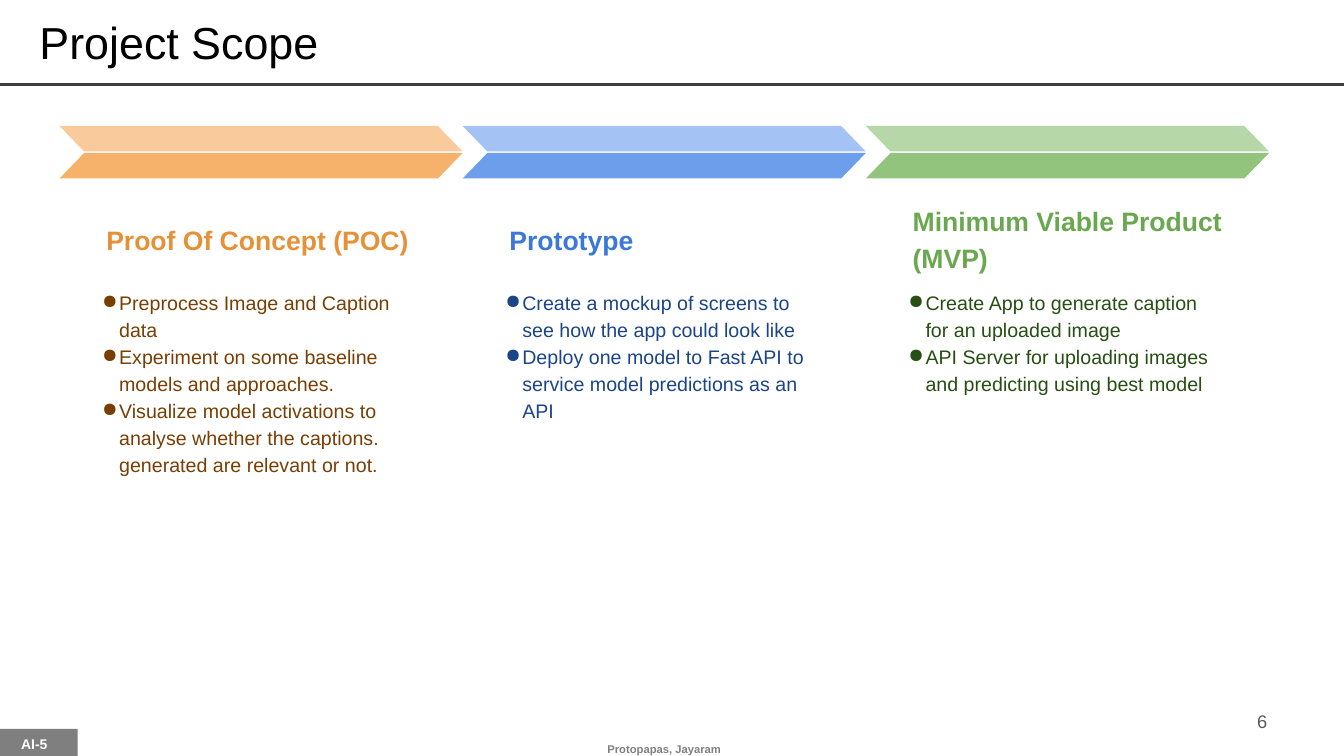
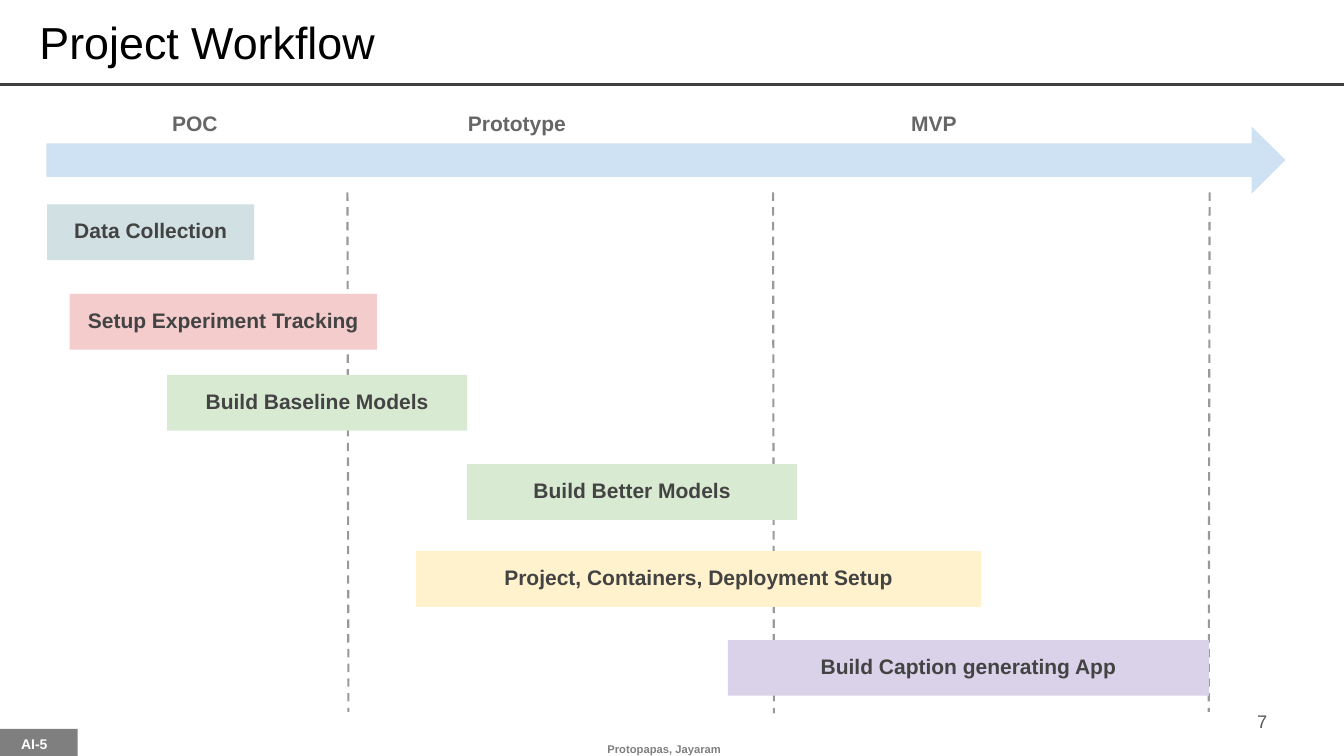
from lxml.etree import SubElement
from pptx import Presentation
from pptx.dml.color import RGBColor
from pptx.enum.dml import MSO_LINE
from pptx.enum.shapes import MSO_CONNECTOR, MSO_SHAPE
from pptx.enum.text import MSO_ANCHOR, MSO_AUTO_SIZE, PP_ALIGN
from pptx.oxml.ns import qn
from pptx.util import Pt

FONT = "Arial"
COLORS = {
    "title": "000000", "rule": "3F3F3F", "footer": "7F7F7F", "tag": "FFFFFF",
    "number": "595959", "milestone": "666666", "divider": "999999",
    "task": "434343", "timeline": "CFE2F3",
    "teal": "D0E0E3", "red": "F4CCCC", "green": "D9EAD3",
    "yellow": "FFF2CC", "purple": "D9D2E9",
}
# heading, body, upper band, lower band
PHASE_COLORS = {
    "orange": ("E69138", "783F04", "F9CB9C", "F6B26B"),
    "blue": ("3C78D8", "1C4587", "A4C2F4", "6D9EEB"),
    "green": ("6AA84F", "274E13", "B6D7A8", "93C47D"),
}
TAG = "AI-5"
AUTHORS = "Protopapas, Jayaram"

PHASES = [
    ("Proof Of Concept (POC)", "orange", [
        "Preprocess Image and Caption data",
        "Experiment on some baseline models and approaches.",
        "Visualize model activations to analyse whether the captions. "
        "generated are relevant or not.",
    ]),
    ("Prototype", "blue", [
        "Create a mockup of screens to see how the app could look like",
        "Deploy one model to Fast API to service model predictions as an API",
    ]),
    ("Minimum Viable Product (MVP)", "green", [
        "Create App to generate caption for an uploaded image",
        "API Server for uploading images and predicting using best model",
    ]),
]
PHASE_LEFT, PHASE_WIDTH = 42.5, 288
BAND_HEIGHT, BAND_TOPS = 18.2, (90, 109.3)

# label, centre
MILESTONES = [("POC", 139.2), ("Prototype", 369.2), ("MVP", 667.1)]
# x at the top, x at the bottom, bottom
DIVIDERS = [(248.2, 248.9, 508.5), (552.2, 552.8, 509.5), (864, 863.4, 508.5)]
# label, colour, left, top, width
TASKS = [
    ("Data Collection", "teal", 33.6, 146, 148),
    ("Setup Experiment Tracking", "red", 49.8, 210, 219.4),
    ("Build Baseline Models", "green", 119.4, 267.8, 214.3),
    ("Build Better Models", "green", 333.5, 331.5, 236),
    ("Project, Containers, Deployment Setup", "yellow", 297, 393.7, 404),
    ("Build Caption generating App", "purple", 520, 457.2, 343.6),
]
TASK_HEIGHT = 39.8


def rgb(value):
    return RGBColor.from_string(value)


def write(shape, lines, size, color, bold=False, align=PP_ALIGN.LEFT,
          anchor=MSO_ANCHOR.TOP, inset=(7.2, 3.6), spacing=None, bullet=None):
    """Fill a shape with one paragraph per line; inset is (sides, top and bottom)."""
    frame = shape.text_frame
    side, edge = inset
    settings = {
        "word_wrap": True, "auto_size": MSO_AUTO_SIZE.NONE,
        "vertical_anchor": anchor, "margin_left": Pt(side),
        "margin_right": Pt(side), "margin_top": Pt(edge), "margin_bottom": Pt(edge),
    }
    for name, value in settings.items():
        setattr(frame, name, value)
    for index, line in enumerate(lines):
        para = frame.add_paragraph() if index else frame.paragraphs[0]
        para.alignment = align
        if spacing:
            para.line_spacing = spacing
        if bullet:
            add_bullet(para, bullet, color)
        span = para.add_run()
        span.text = line
        for name, value in {"name": FONT, "size": Pt(size), "bold": bold}.items():
            setattr(span.font, name, value)
        span.font.color.rgb = rgb(color)


def add_bullet(para, character, color):
    properties = para._p.get_or_add_pPr()
    properties.set("marL", str(Pt(12.2)))
    properties.set("indent", str(Pt(-13)))
    bullet_color = SubElement(properties, qn("a:buClr"))
    SubElement(bullet_color, qn("a:srgbClr"), val=color)
    SubElement(properties, qn("a:buChar"), char=character)


def add_text(page, place, lines, size, color, **options):
    box = page.shapes.add_textbox(*map(Pt, place))
    write(box, lines, size, color, **options)


def add_block(page, kind, place, color):
    block = page.shapes.add_shape(kind, *map(Pt, place))
    block.shadow.inherit = False
    block.fill.solid()
    block.fill.fore_color.rgb = rgb(color)
    block.line.fill.background()
    return block


def add_line(page, ends, color, width, dash=None):
    line = page.shapes.add_connector(MSO_CONNECTOR.STRAIGHT, *map(Pt, ends))
    line.line.color.rgb = rgb(color)
    line.line.width = Pt(width)
    if dash:
        line.line.dash_style = dash
    SubElement(line._element.spPr, qn("a:effectLst"))


def add_page(deck, title, number):
    """Add a slide with the shared title style, rule and footer."""
    page = deck.slides.add_slide(deck.slide_layouts[5])
    add_line(page, (0, 60.5, 960, 60.5), COLORS["rule"], 2.25)
    add_block(page, MSO_SHAPE.RECTANGLE, (-3.6, 520.6, 59, 21.6), COLORS["footer"])
    add_text(page, (-7.2, 523.4, 63.4, 25.2), [TAG], 10, COLORS["tag"],
             bold=True, align=PP_ALIGN.CENTER, spacing=0.9)
    add_text(page, (356.4, 522.7, 236.2, 24.5), [AUTHORS], 8, COLORS["footer"],
             bold=True, align=PP_ALIGN.CENTER, anchor=MSO_ANCHOR.MIDDLE,
             inset=(7.2, 7.2))
    add_text(page, (688.3, 500.8, 224, 28.8), [str(number)], 13, COLORS["number"],
             align=PP_ALIGN.RIGHT, anchor=MSO_ANCHOR.MIDDLE)
    heading = page.shapes.title
    place = {"left": 21, "top": 7.2, "width": 849, "height": 54}
    for name, value in place.items():
        setattr(heading, name, Pt(value))
    write(heading, [title], 32, COLORS["title"])
    return page


def add_phase(page, left, heading, colors, points):
    heading_color, body_color, *band_colors = colors
    add_text(page, (left + 24, 139, 243, 61), [heading], 19, heading_color,
             bold=True, anchor=MSO_ANCHOR.MIDDLE, inset=(9.4, 9.4), spacing=1.15)
    add_text(page, (left + 21, 196, 243, 297), points, 14, body_color,
             inset=(9.4, 9.4), spacing=1.15, bullet="●")
    for top, color, flipped in zip(BAND_TOPS, band_colors, (True, False)):
        band = add_block(page, MSO_SHAPE.PARALLELOGRAM,
                         (left, top, PHASE_WIDTH, BAND_HEIGHT), color)
        band.adjustments[0] = 0.97
        if flipped:
            band._element.spPr.find(qn("a:xfrm")).set("flipH", "1")


def build_scope(deck):
    page = add_page(deck, "Project Scope", 6)
    for index, (heading, hue, points) in enumerate(PHASES):
        add_phase(page, PHASE_LEFT + index * PHASE_WIDTH, heading,
                  PHASE_COLORS[hue], points)


def build_workflow(deck):
    page = add_page(deck, "Project Workflow", 7)
    for top_x, bottom_x, bottom in DIVIDERS:
        add_line(page, (top_x, 137.5, bottom_x, bottom), COLORS["divider"], 1.5,
                 MSO_LINE.DASH)
    timeline = add_block(page, MSO_SHAPE.RIGHT_ARROW, (33.6, 91.2, 884, 46.3),
                         COLORS["timeline"])
    timeline.line.color.rgb = rgb(COLORS["timeline"])
    timeline.line.width = Pt(0.75)
    for label, centre in MILESTONES:
        add_text(page, (centre - 45, 78.5, 90, 19.4), [label], 15,
                 COLORS["milestone"], bold=True, align=PP_ALIGN.CENTER,
                 anchor=MSO_ANCHOR.MIDDLE, inset=(0, 0))
    for label, hue, left, top, width in TASKS:
        bar = add_block(page, MSO_SHAPE.RECTANGLE, (left, top, width, TASK_HEIGHT),
                        COLORS[hue])
        write(bar, [label], 15, COLORS["task"], bold=True, align=PP_ALIGN.CENTER,
              inset=(9.4, 9.4))


def main():
    deck = Presentation()
    deck.slide_width, deck.slide_height = Pt(960), Pt(540)
    build_scope(deck)
    build_workflow(deck)
    deck.save("out.pptx")


if __name__ == "__main__":
    main()
